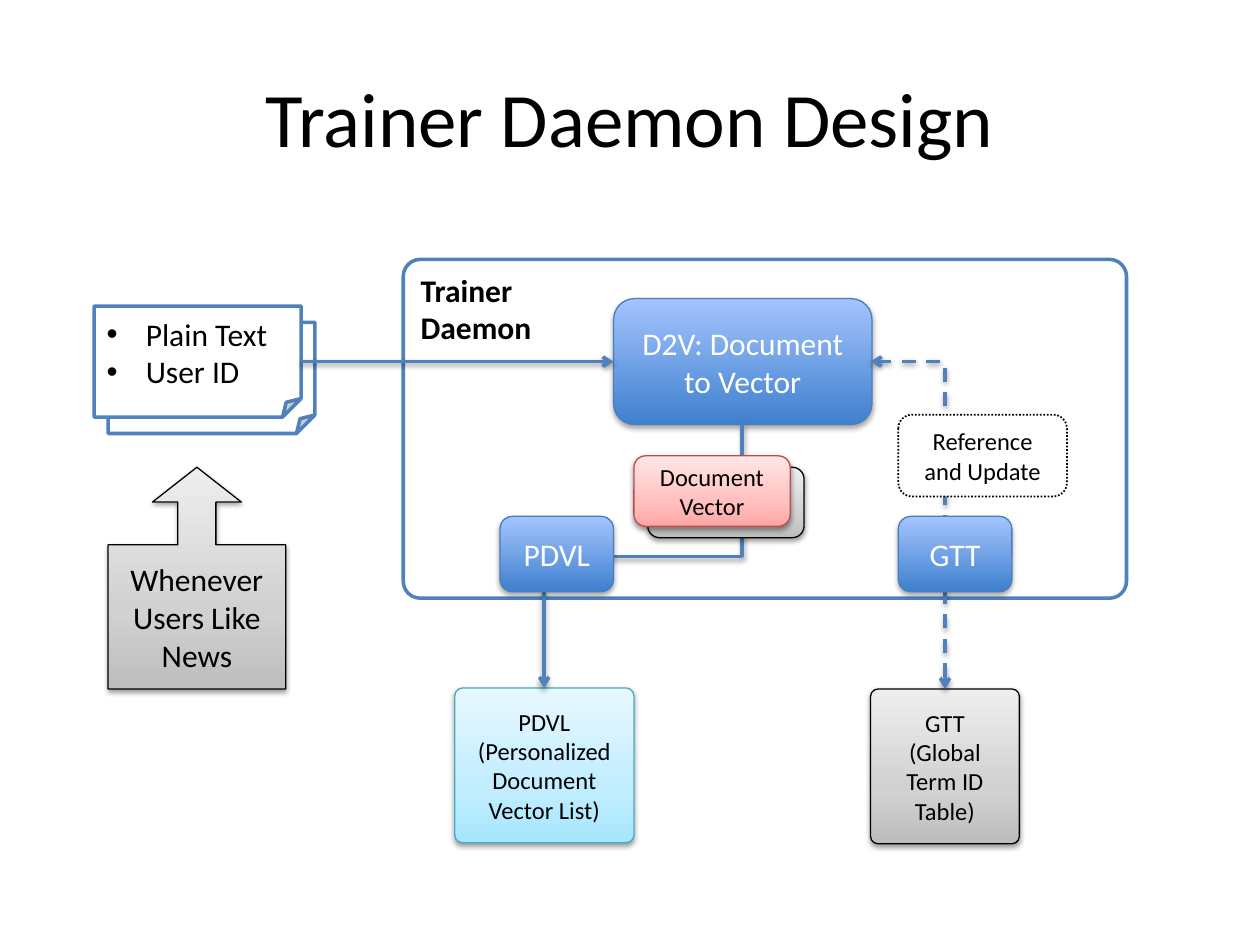
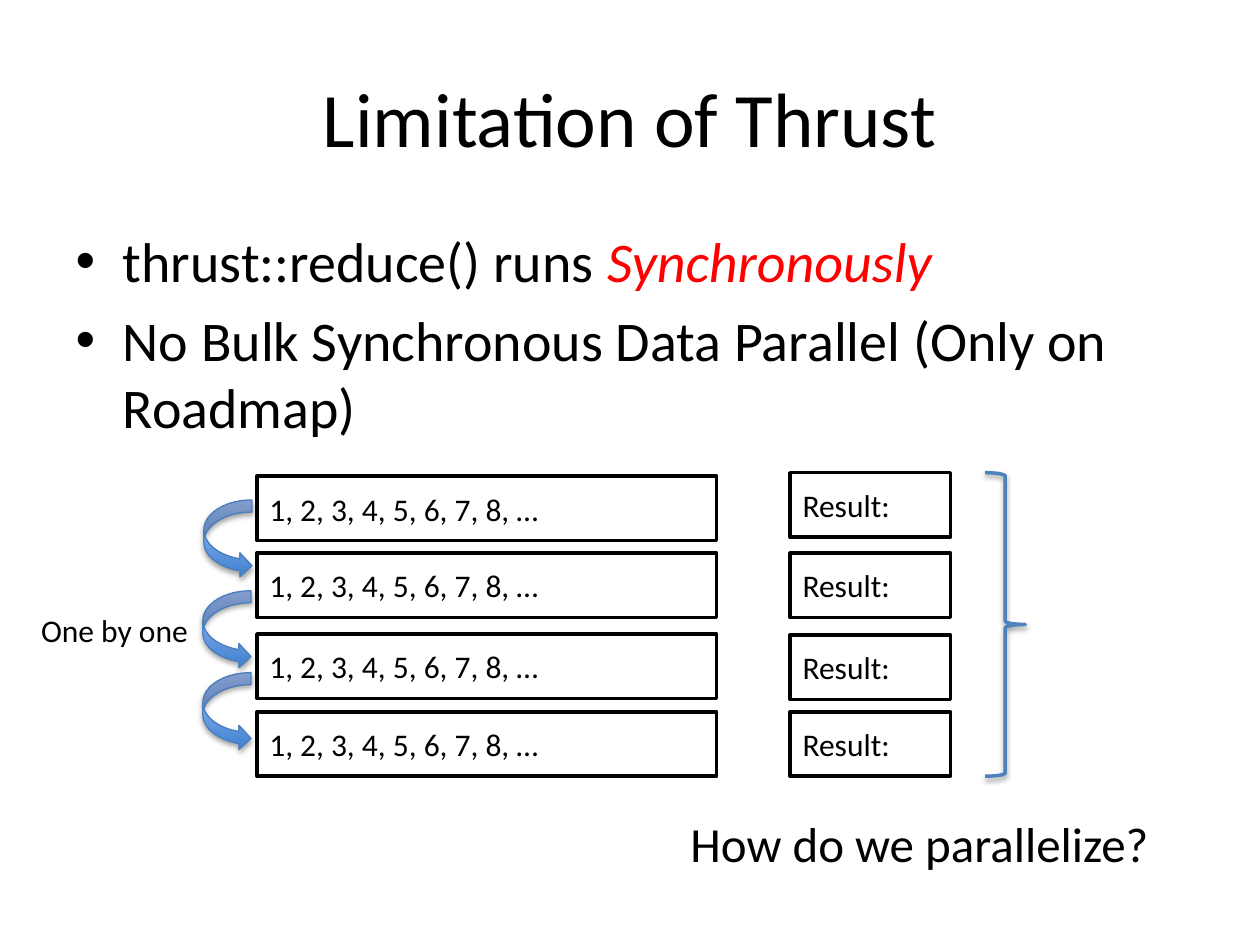
"""Build two slides: the trainer daemon design and the limits of Thrust."""
from lxml import etree
from pptx import Presentation
from pptx.dml.color import RGBColor
from pptx.enum import dml, shapes, text
from pptx.oxml.ns import qn
from pptx.util import Cm, Pt

FONT = "Calibri"
HUES = {"ink": "000000", "paper": "FFFFFF", "blue": "4F81BD", "rim": "4B7EBC",
        "aqua": "46AAC5", "rose": "BF4C48", "red": "FF0000"}
GRADS = {
    "blue": [(0, "3F80CE"), (100, "A4C4FF")],
    "aqua": [(0, "A7E6FF"), (35, "C1EDFF"), (100, "E7F8FF")],
    "gray": [(0, "BDBDBD"), (35, "D1D1D1"), (100, "EEEEEE")],
    "rose": [(0, "FFA6A5"), (35, "FFC0BF"), (100, "FFE7E7")],
}
NS = "http://schemas.openxmlformats.org/drawingml/2006/main"
KIND = shapes.MSO_SHAPE
LINK = shapes.MSO_CONNECTOR
MID = text.MSO_ANCHOR.MIDDLE
LEFT = text.PP_ALIGN.LEFT
DOT = dml.MSO_LINE.ROUND_DOT
DASH = dml.MSO_LINE.DASH

LOOKS = {
    "frame": {"line": "blue", "width": 2},
    "plain": {"line": "ink", "width": 2},
    "note": {"line": "ink", "width": 1, "dash": DOT},
    "blue": {"grad": "blue", "line": "rim", "glow": (35, 1.8)},
    "aqua": {"grad": "aqua", "line": "aqua", "glow": (38, 1.6)},
    "gray": {"grad": "gray", "line": "ink", "glow": (38, 1.6)},
    "rose": {"grad": "rose", "line": "rose", "glow": (38, 1.6)},
    "brace": {"fill": False, "line": "blue", "width": 2, "glow": (38, 1.6)},
}

ROUND = KIND.ROUNDED_RECTANGLE
SLIM = [0.05]
BACK = [
    (KIND.FOLDED_CORNER, (2.18, 6.5, 4.17, 2.24), "frame", "", {}),
    (ROUND, (8.13, 5.23, 14.58, 6.83), "frame", "Trainer\nDaemon",
     {"adj": SLIM, "bold": True, "align": LEFT, "anchor": text.MSO_ANCHOR.TOP}),
    (ROUND, (12.37, 6.02, 5.21, 2.54), "blue", "D2V: Document to Vector", {"hue": "paper"}),
    (ROUND, (9.17, 13.87, 3.61, 3.12), "aqua",
     "PDVL\n(Personalized Document Vector List)", {"adj": SLIM, "size": 14}),
    (ROUND, (17.55, 13.89, 3, 3.12), "gray", "GTT\n(Global Term ID Table)",
     {"adj": SLIM, "size": 14}),
    (KIND.FOLDED_CORNER, (1.9, 6.17, 4.17, 2.24), "frame", "Plain Text\nUser ID",
     {"align": LEFT, "bullet": True}),
]
LINKS = [
    ((6.07, 7.29), (12.37, 7.29), "straight", None),
    ((19.05, 13.89), (17.55, 7.29), "corner", DASH),
    ((14.96, 8.56), (10.97, 13.87), "step", None),
]
FRONT = [
    (ROUND, (13.06, 9.42, 3.15, 1.42), "gray", "", {}),
    (ROUND, (18.11, 8.36, 3.4, 1.65), "note", "Reference and Update", {"size": 14}),
    (KIND.UP_ARROW_CALLOUT, (2.18, 9.42, 3.58, 4.47), "gray", "Whenever Users Like News",
     {"adj": [0.214, 0.25, 0.196, 0.65]}),
    (ROUND, (12.78, 9.19, 3.15, 1.42), "rose", "Document Vector", {"size": 14}),
    (ROUND, (10.08, 10.41, 2.29, 1.52), "blue", "PDVL", {"hue": "paper"}),
    (ROUND, (18.11, 10.41, 2.29, 1.52), "blue", "GTT", {"hue": "paper"}),
]

POINTS = [
    [("thrust::reduce() runs ", {}), ("Synchronously", {"hue": "red", "italic": True})],
    [("No Bulk Synchronous Data Parallel (Only on Roadmap)", {})],
]
STACKS = [
    ("1, 2, 3, 4, 5, 6, 7, 8, …", 5.18, 9.27, (9.6, 11.15, 12.78, 14.35)),
    ("Result:", 15.93, 3.23, (9.53, 11.15, 12.8, 14.35)),
]
HOPS = [(4.11, 10.08), (4.09, 11.91), (4.09, 13.56)]
LABELS = [
    ("One by one", (0.58, 12.19, 3.51, 1.02), 18),
    ("How do we parallelize?", (13.67, 16.28, 9.91, 1.45), 28),
]


def color(name):
    return RGBColor.from_string(HUES[name])


def cms(nums):
    return [Cm(n) for n in nums]


def style(font, hue="ink", **attrs):
    for key, val in {"name": FONT, **attrs}.items():
        setattr(font, key, val)
    font.color.rgb = color(hue)


def shade(part, grad):
    stops = "".join(f'<a:gs pos="{at * 1000}"><a:srgbClr val="{hue}"/></a:gs>'
                    for at, hue in GRADS[grad])
    part.insert(2, etree.fromstring(
        f'<a:gradFill xmlns:a="{NS}" rotWithShape="1"><a:gsLst>{stops}</a:gsLst>'
        '<a:lin ang="16200000" scaled="0"/></a:gradFill>'))


def glow(part, alpha, dist):
    for old in part.findall(qn("a:effectLst")):
        part.remove(old)
    part.append(etree.fromstring(
        f'<a:effectLst xmlns:a="{NS}"><a:outerShdw blurRad="{Pt(3.1)}" dist="{Pt(dist)}" '
        f'dir="5400000" rotWithShape="0"><a:srgbClr val="{HUES["ink"]}">'
        f'<a:alpha val="{alpha * 1000}"/></a:srgbClr></a:outerShdw></a:effectLst>'))


def stroke(line, hue, width, dash=None):
    line.color.rgb = color(hue)
    line.width = Pt(width)
    if dash:
        line.dash_style = dash


def bullet(para):
    props = para._p.get_or_add_pPr()
    props.set("marL", str(Cm(0.79)))
    props.set("indent", str(-Cm(0.79)))
    etree.SubElement(props, qn("a:buFont"), typeface="Arial")
    etree.SubElement(props, qn("a:buChar"), char="•")


def write(frame, words, size=18, hue="ink", bold=False, align=text.PP_ALIGN.CENTER,
          dots=False):
    frame.text = words
    for para in frame.paragraphs:
        para.alignment = align
        for run in para.runs:
            style(run.font, hue, size=Pt(size), bold=bold)
        if dots:
            bullet(para)


def draw(slide, kind, box, look, words="", fmt=None):
    fmt, look = fmt or {}, LOOKS[look]
    shape = slide.shapes.add_shape(kind, *cms(box))
    for i, val in enumerate(fmt.get("adj", [])):
        shape.adjustments[i] = val
    part = shape._element.spPr
    if "grad" in look:
        shade(part, look["grad"])
    elif look.get("fill", True):
        shape.fill.solid()
        shape.fill.fore_color.rgb = color("paper")
    else:
        shape.fill.background()
    stroke(shape.line, look["line"], look.get("width", 0.75), look.get("dash"))
    shape.shadow.inherit = False
    if "glow" in look:
        glow(part, *look["glow"])
    if words:
        frame = shape.text_frame
        frame.word_wrap = True
        frame.vertical_anchor = fmt.get("anchor", MID)
        write(frame, words, fmt.get("size", 18), fmt.get("hue", "ink"),
              fmt.get("bold", False), fmt.get("align", text.PP_ALIGN.CENTER),
              fmt.get("bullet", False))


def join(slide, start, end, form, dash):
    (x1, y1), (x2, y2) = start, end
    kind = LINK.STRAIGHT
    down = y2 > y1
    if form != "straight":
        kind = LINK.ELBOW
        mx, my = (x1 + x2) / 2, (y1 + y2) / 2
        dx, dy = abs(y2 - y1) / 2, abs(x2 - x1) / 2 * (1 if down else -1)
        x1, y1, x2, y2 = mx - dx, my - dy, mx + dx, my + dy
    link = slide.shapes.add_connector(kind, *cms((x1, y1, x2, y2)))
    part = link._element.spPr
    if form != "straight":
        part.find(qn("a:xfrm")).set("rot", "5400000" if down else "16200000")
    if form == "corner":
        part.find(qn("a:prstGeom")).set("prst", "bentConnector2")
    stroke(link.line, "blue", 2, dash)
    tips = ("headEnd", "tailEnd") if form == "corner" else ("tailEnd",)
    for tip in tips:
        etree.SubElement(part.find(qn("a:ln")), qn(f"a:{tip}"), type="arrow")
    glow(part, 38, 1.6)


def start(deck, layout, words):
    slide = deck.slides.add_slide(deck.slide_layouts[layout])
    title = slide.shapes.title
    spots = zip(("left", "top", "width", "height"), cms((1.27, 0.76, 22.86, 3.18)))
    for key, val in spots:
        setattr(title, key, val)
    title.text_frame.vertical_anchor = MID
    write(title.text_frame, words, 44)
    return slide


def design(deck):
    slide = start(deck, 5, "Trainer Daemon Design")
    for item in BACK:
        draw(slide, *item)
    for item in LINKS:
        join(slide, *item)
    for item in FRONT:
        draw(slide, *item)


def limits(deck):
    slide = start(deck, 1, "Limitation of Thrust")
    frame = slide.placeholders[1].text_frame
    for i, runs in enumerate(POINTS):
        para = frame.add_paragraph() if i else frame.paragraphs[0]
        for words, fmt in runs:
            run = para.add_run()
            run.text = words
            style(run.font, size=Pt(32), **fmt)
    for words, left, width, tops in STACKS:
        for top in tops:
            draw(slide, KIND.RECTANGLE, (left, top, width, 1.3), "plain", words,
                 {"align": LEFT})
    for spot in HOPS:
        draw(slide, KIND.CURVED_RIGHT_ARROW, (*spot, 0.97, 1.57), "blue")
    draw(slide, KIND.RIGHT_BRACE, (19.86, 9.53, 0.81, 6.12), "brace")
    for words, box, size in LABELS:
        frame = slide.shapes.add_textbox(*cms(box)).text_frame
        frame.word_wrap = False
        frame.auto_size = text.MSO_AUTO_SIZE.SHAPE_TO_FIT_TEXT
        write(frame, words, size, align=LEFT)


def main():
    deck = Presentation()
    deck.slide_width, deck.slide_height = Cm(25.4), Cm(19.05)
    design(deck)
    limits(deck)
    deck.save("out.pptx")


if __name__ == "__main__":
    main()
